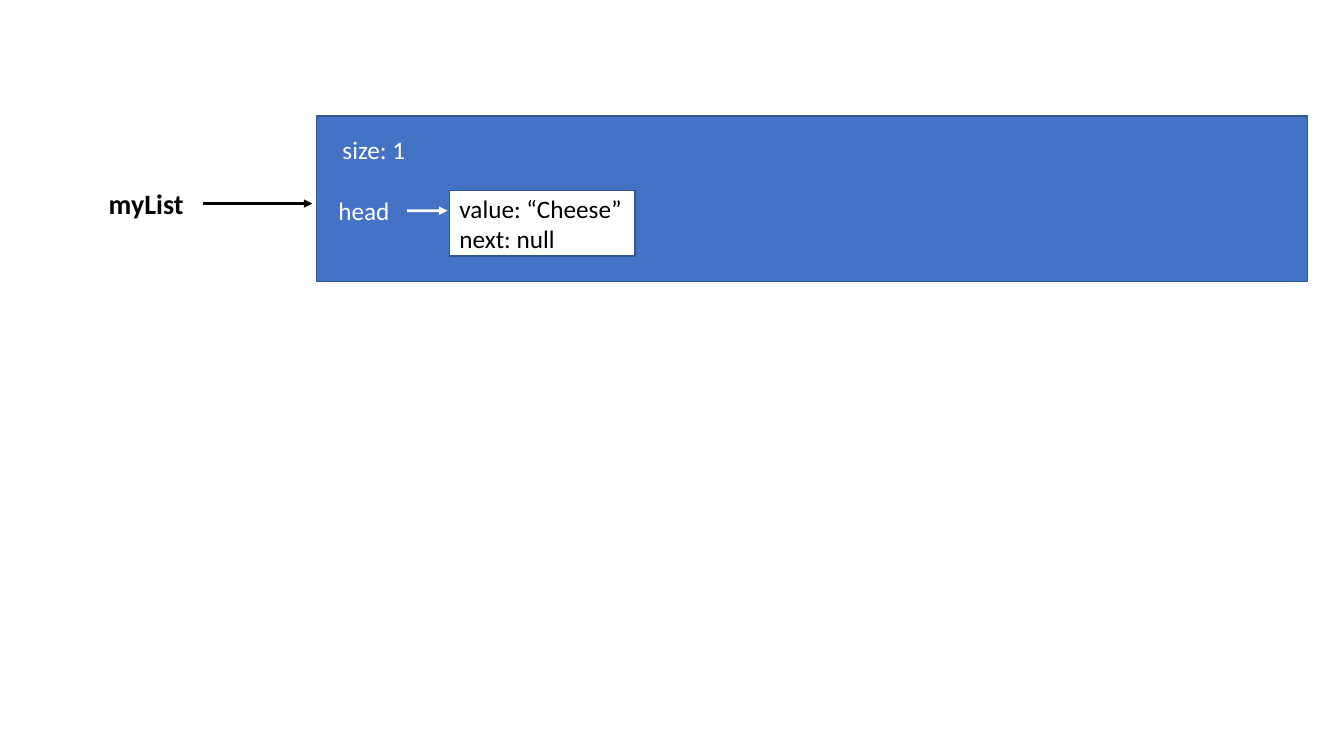
"""Draw a linked list object holding a size and one node."""
import pptx
import pptx.dml.color
import pptx.enum.shapes
import pptx.enum.text
import pptx.oxml
import pptx.oxml.ns
import pptx.util
from pptx.util import Cm, Pt


def color(value):
    return pptx.dml.color.RGBColor.from_string(value)


def write(shape, lines, size, ink, bold=False):
    shape.text_frame.text = "\n".join(lines)
    for paragraph in shape.text_frame.paragraphs:
        paragraph.alignment = pptx.enum.text.PP_ALIGN.LEFT
        paragraph.font.name = "Calibri"
        paragraph.font.size = Pt(size)
        paragraph.font.bold = bold
        paragraph.font.color.rgb = color(ink)


presentation = pptx.Presentation()
presentation.slide_width = Cm(33.87)
presentation.slide_height = Cm(19.05)
slide = presentation.slides.add_slide(presentation.slide_layouts[6])

frames = []
for left, top, width, height, fill in [
    (7.98, 2.92, 24.97, 4.17, "4472C4"),
    (11.33, 4.8, 4.67, 1.65, "FFFFFF"),
]:
    frame = slide.shapes.add_shape(
        pptx.enum.shapes.MSO_SHAPE.RECTANGLE, Cm(left), Cm(top), Cm(width), Cm(height)
    )
    frame.shadow.inherit = False
    frame.fill.solid()
    frame.fill.fore_color.rgb = color(fill)
    frame.line.color.rgb = color("325491")
    frame.line.width = Pt(1)
    frames.append(frame)
list_object, node = frames
node.text_frame.vertical_anchor = pptx.enum.text.MSO_ANCHOR.MIDDLE
write(node, ["value: “Cheese”", "next: null"], 18, "000000")

for label, left, top, width, height, size, ink, bold, arrow_end in [
    ("myList", 2.49, 4.57, 2.62, 1.12, 20, "000000", True, 7.87),
    ("size: 1", 8.38, 3.25, 2.11, 1.02, 18, "FFFFFF", False, None),
    ("head", 8.28, 4.8, 1.98, 1.02, 18, "FFFFFF", False, 11.28),
]:
    field = slide.shapes.add_textbox(Cm(left), Cm(top), Cm(width), Cm(height))
    field.text_frame.word_wrap = False
    field.text_frame.auto_size = pptx.enum.text.MSO_AUTO_SIZE.SHAPE_TO_FIT_TEXT
    write(field, [label], size, ink, bold)
    if arrow_end:
        middle = Cm(top + height / 2)
        reference = slide.shapes.add_connector(
            pptx.enum.shapes.MSO_CONNECTOR.STRAIGHT,
            Cm(left + width), middle, Cm(arrow_end), middle,
        )
        reference.begin_connect(field, 3)
        reference.line.color.rgb = color(ink)
        reference.line.width = Pt(2)
        outline = reference.line._get_or_add_ln()
        outline.append(pptx.oxml.parse_xml(
            f'<a:tailEnd {pptx.oxml.ns.nsdecls("a")} type="triangle"/>'
        ))
        outline.addnext(pptx.oxml.parse_xml(f'<a:effectLst {pptx.oxml.ns.nsdecls("a")}/>'))

presentation.save("out.pptx")
